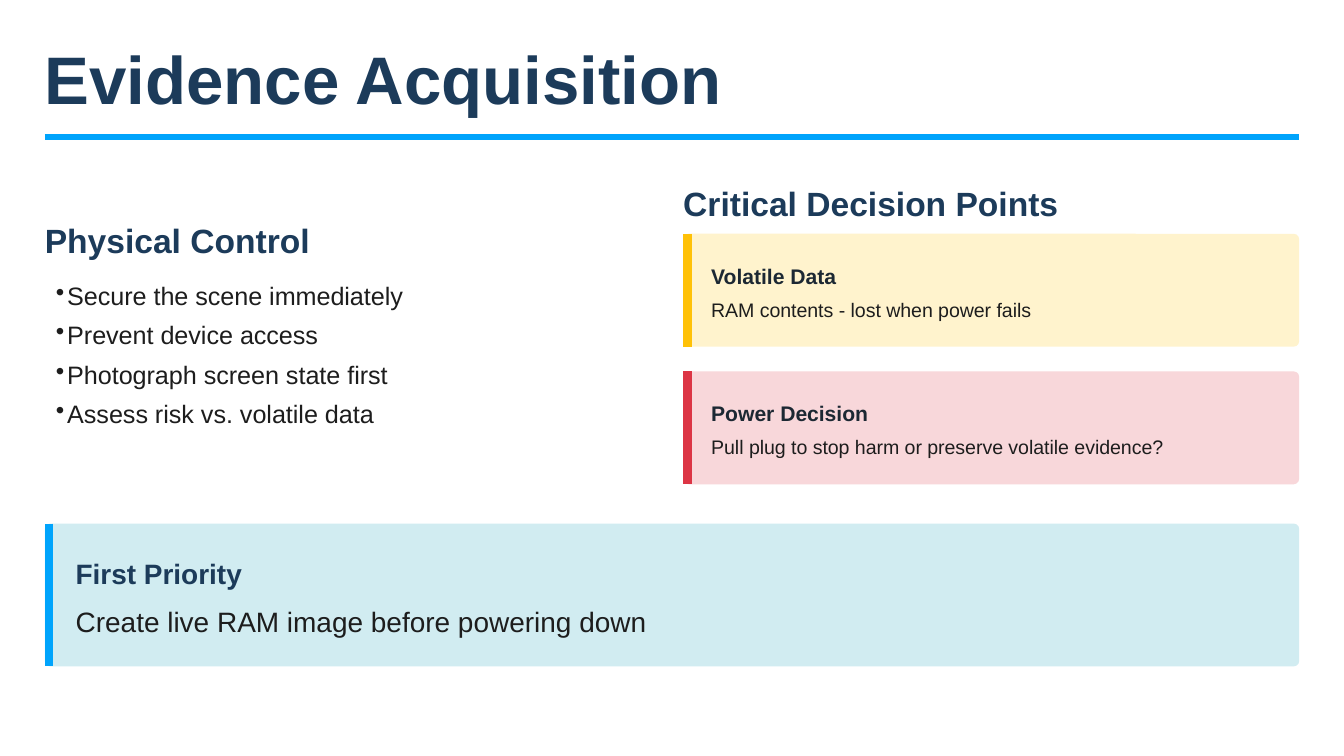
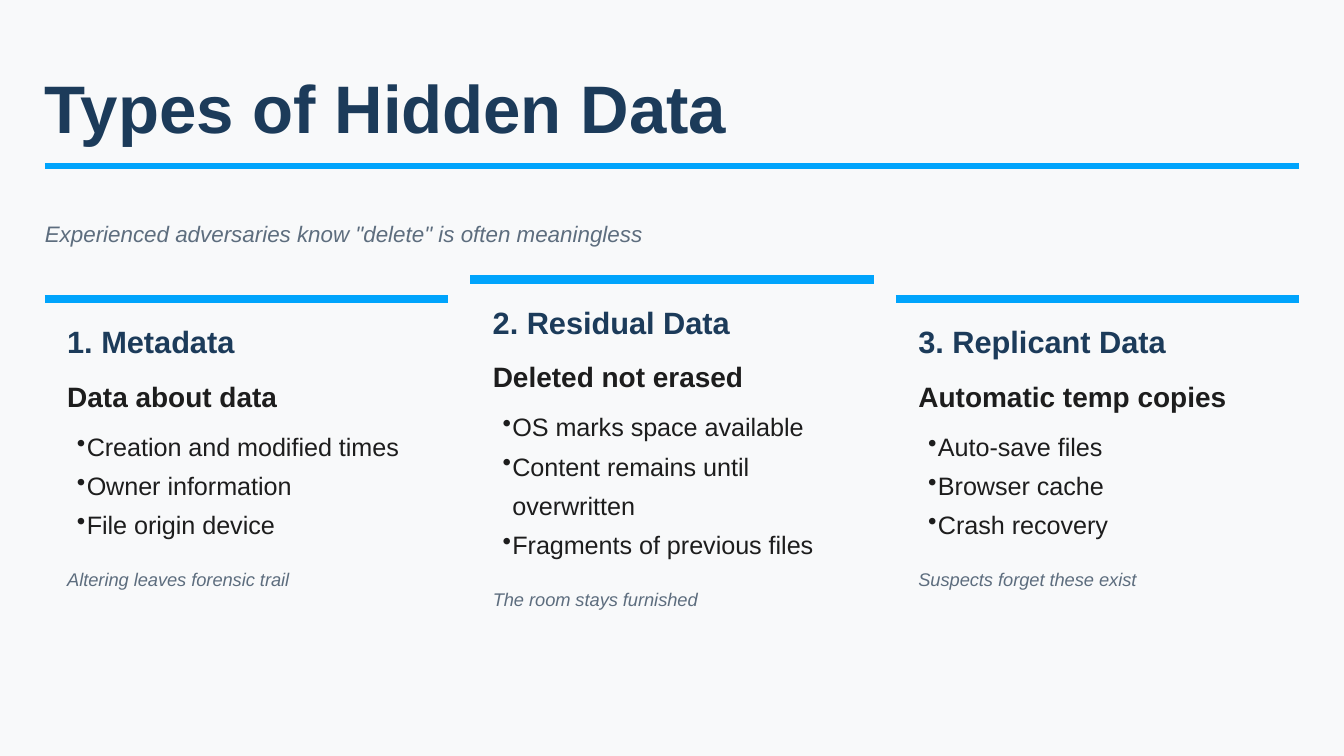
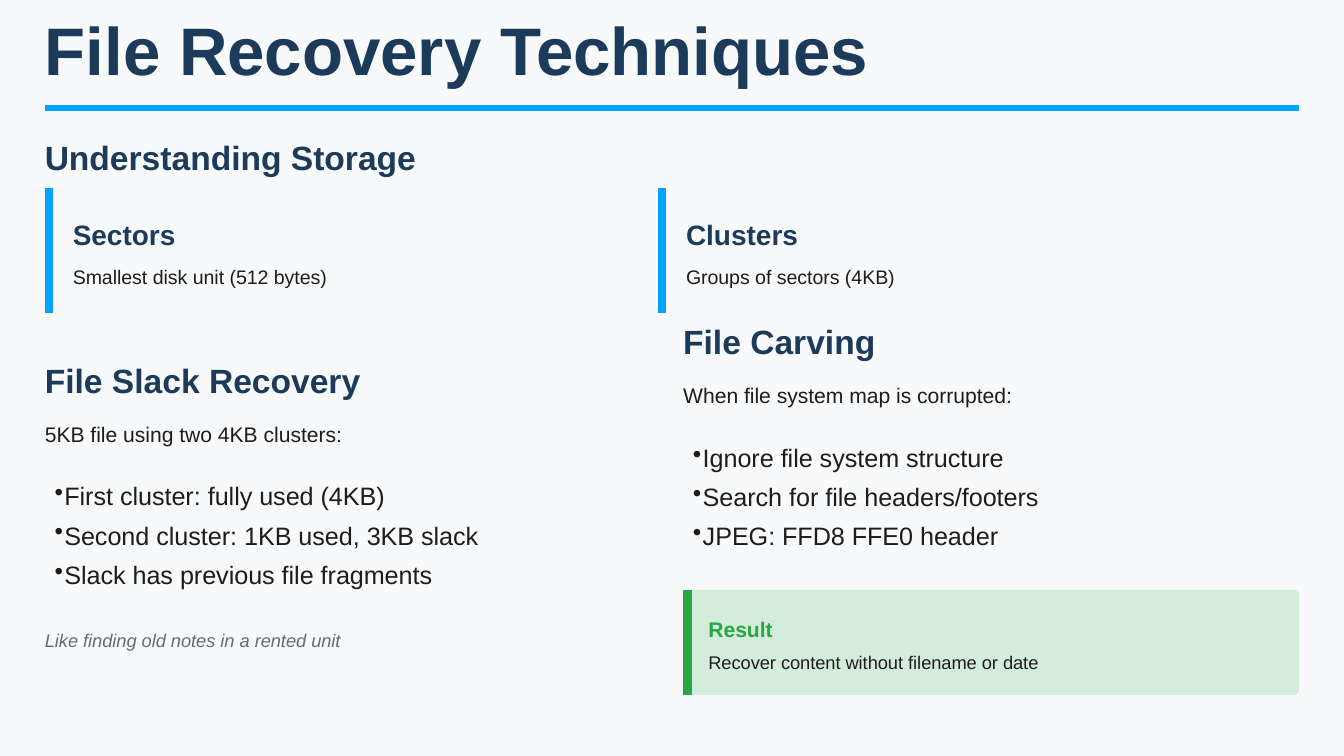
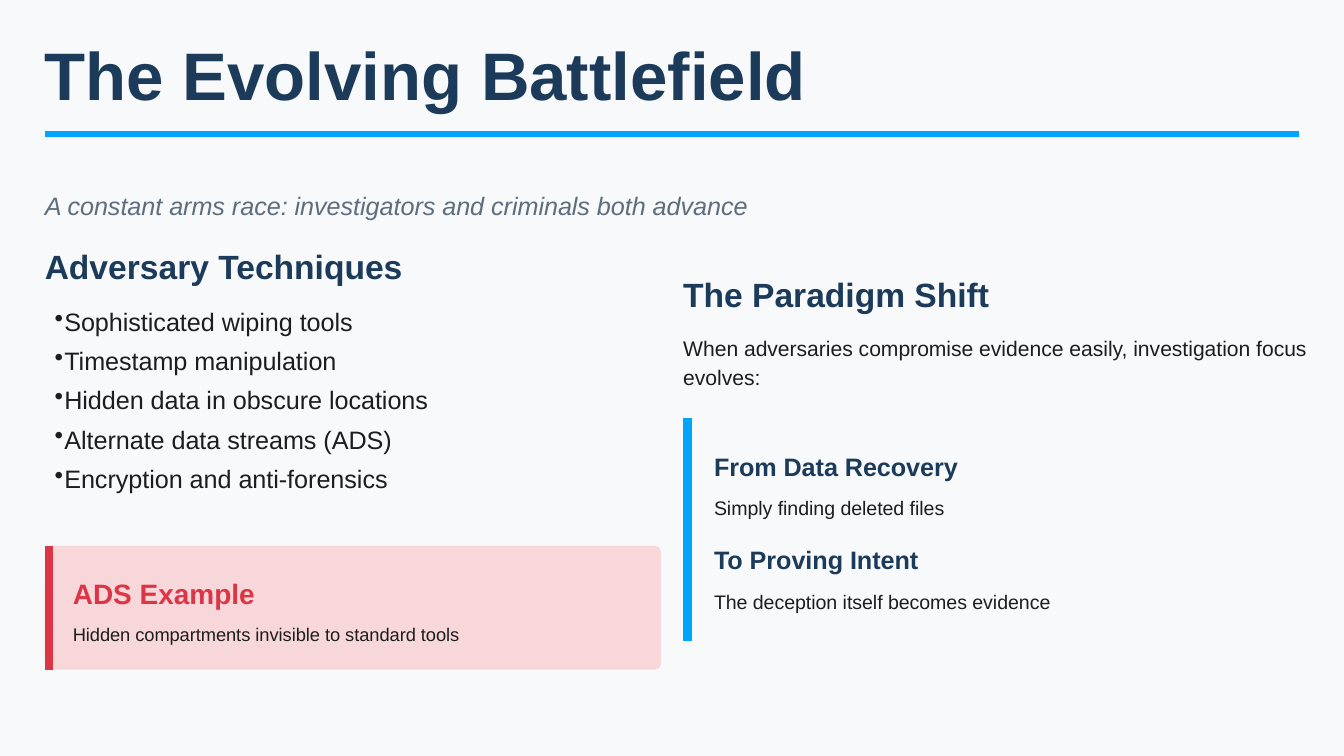
import pptx
import pptx.dml.color
import pptx.enum.shapes
import pptx.enum.text
import pptx.oxml
import pptx.oxml.ns
import pptx.util

Pt = pptx.util.Pt

NAVY, BLUE, INK, SLATE, MUTED = "1C3B5A", "00A4FC", "1D1D1D", "1C2833", "5D6D7E"
WHITE, PALE = "FFFFFF", "F8F9FA"
YELLOW, PALE_YELLOW = "FFC107", "FFF3CD"
RED, PALE_RED = "DC3545", "F8D7DA"
GREEN, PALE_GREEN = "28A745", "D4EDDA"
PALE_BLUE = "D1ECF1"

MARGIN, CONTENT_WIDTH = 24, 672
RIGHT, HALF_WIDTH = 366, 330
COLUMN_WIDTH, COLUMN_PITCH = 216, 228
ACCENT = 4.5
CORNER = 3
PARAGRAPH_SLACK = 1.02  # paragraphs get slightly more width than their column


def style(size, line, color, before=0, after=0, bold=False, italic=False):
    return {
        "font": {"name": "Arial", "size": Pt(size), "bold": bold, "italic": italic},
        "spacing": {"line_spacing": Pt(line), "space_before": Pt(before),
                    "space_after": Pt(after)},
        "color": color,
        "line": line,
    }


STYLES = {
    "title": style(36, 36, NAVY, bold=True),
    "heading": style(18, 20, NAVY, bold=True),
    "column": style(16.5, 18.3, NAVY, 0, 7.5, bold=True),
    "subhead": style(15, 21, NAVY, 3, 4.5, bold=True),
    "claim": style(15, 21, INK, 3, 4.5, bold=True),
    "alert": style(15, 21, RED, 3, 4.5, bold=True),
    "lead": style(15, 21, INK, 3, 3),
    "step": style(13.5, 18.9, NAVY, 3, 6, bold=True),
    "label": style(11.25, 15.75, SLATE, 3, 3, bold=True),
    "result": style(11.25, 15.75, GREEN, 3, 3, bold=True),
    "body": style(11.25, 15.75, INK, 3, 7.5),
    "detail": style(10.5, 14.7, INK, 3, 3),
    "small": style(9.75, 13.65, INK, 3, 3),
    "note": style(9.75, 13.65, MUTED, 7.5, 3, italic=True),
    "motto": style(12, 18, MUTED, 3, 3, italic=True),
    "tagline": style(13.5, 21, MUTED, 3, 3, italic=True),
    "bullet": style(13.5, 21, INK),
}


def rgb(color):
    return pptx.dml.color.RGBColor.from_string(color)


def apply(target, values):
    for name, value in values.items():
        setattr(target, name, value)


def write(frame, lines, style_name, indent=0):
    """Fill a text frame with one paragraph per line, bulleted if indented."""
    look = STYLES[style_name]
    apply(frame, {
        "margin_left": Pt(indent), "margin_top": 0, "margin_right": 0,
        "margin_bottom": 0, "word_wrap": True,
        "auto_size": pptx.enum.text.MSO_AUTO_SIZE.NONE,
        "vertical_anchor": pptx.enum.text.MSO_ANCHOR.TOP,
    })
    for index, line in enumerate(lines):
        paragraph = frame.add_paragraph() if index else frame.paragraphs[0]
        apply(paragraph, look["spacing"])
        paragraph.alignment = pptx.enum.text.PP_ALIGN.LEFT
        run = paragraph.add_run()
        run.text = line
        apply(run.font, look["font"])
        run.font.color.rgb = rgb(look["color"])
        if indent:
            properties = paragraph._p.get_or_add_pPr()
            properties.set("marL", str(Pt(indent)))
            properties.set("indent", str(-Pt(indent)))
            bullet = pptx.oxml.parse_xml(
                f'<a:buChar {pptx.oxml.ns.nsdecls("a")} char="•"/>')
            properties.append(bullet)


def add_text(slide, left, top, width, height, lines, style_name, indent=0):
    box = slide.shapes.add_textbox(Pt(left), Pt(top), Pt(width), Pt(height))
    write(box.text_frame, lines, style_name, indent)


def add_stack(slide, left, top, width, items):
    """Place (offset, style, text, [own width], [line count]) below top."""
    for offset, style_name, text, *fit in items:
        own_width = fit[0] if fit and fit[0] else width * PARAGRAPH_SLACK
        line_count = fit[1] if len(fit) > 1 else 1
        add_text(slide, left, top + offset, own_width,
                 STYLES[style_name]["line"] * line_count, [text], style_name)


def add_bullets(slide, left, top, width, lines, indent=5.25):
    add_text(slide, left, top, width, 23.75 * len(lines) - 2, lines, "bullet", indent)


def add_rule(slide, start, end, color, weight):
    rule = slide.shapes.add_connector(
        pptx.enum.shapes.MSO_CONNECTOR.STRAIGHT, *map(Pt, start + end))
    rule.line.color.rgb = rgb(color)
    rule.line.width = Pt(weight)
    rule._element.spPr.append(
        pptx.oxml.parse_xml(f'<a:effectLst {pptx.oxml.ns.nsdecls("a")}/>'))


def add_panel(slide, left, top, width, height, fill):
    panel = slide.shapes.add_shape(
        pptx.enum.shapes.MSO_SHAPE.ROUNDED_RECTANGLE,
        Pt(left), Pt(top), Pt(width), Pt(height))
    panel.adjustments[0] = CORNER / min(width, height)
    panel.shadow.inherit = False
    panel.fill.solid()
    panel.fill.fore_color.rgb = rgb(fill)
    panel.line.fill.background()


def add_card(slide, box, items, accent=BLUE, fill=PALE, inset=15):
    """Panel with an accent bar on its left edge and stacked text; fill may be None."""
    left, top, width, height = box
    if fill:
        add_panel(slide, *box, fill)
    bar = left + ACCENT / 2
    add_rule(slide, (bar, top), (bar, top + height), accent, ACCENT)
    add_stack(slide, left + inset, top, width - 2 * inset + ACCENT, items)


def add_column(slide, left, top, height, fill, heading, heading_width, claim,
               bullets, note, wrapped=0):
    """Panel with an accent bar on top; wrapped counts extra bullet lines."""
    if fill:
        add_panel(slide, left, top, COLUMN_WIDTH, height, fill)
    bar = top + ACCENT / 2
    add_rule(slide, (left, bar), (left + COLUMN_WIDTH, bar), BLUE, ACCENT)
    text_left, text_width = left + 12, COLUMN_WIDTH - 24
    add_stack(slide, text_left, top, text_width, [
        (16.5, "column", heading, heading_width),
        (42.25, "claim", claim),
        (144.5 + wrapped * STYLES["bullet"]["line"], "note", note),
    ])
    add_bullets(slide, text_left, top + 68.25, text_width, bullets)


def add_titled_slide(deck, title, top, width, background=PALE):
    slide = deck.slides.add_slide(deck.slide_layouts[5])
    slide.background.fill.solid()
    slide.background.fill.fore_color.rgb = rgb(background)
    line = STYLES["title"]["line"]
    apply(slide.shapes.title, {"left": Pt(MARGIN), "top": Pt(top),
                               "width": Pt(width), "height": Pt(line)})
    write(slide.shapes.title.text_frame, [title], "title")
    rule = top + 46.5
    add_rule(slide, (MARGIN, rule), (MARGIN + CONTENT_WIDTH, rule), BLUE, 3)
    return slide


def build_acquisition(deck):
    slide = add_titled_slide(deck, "Evidence Acquisition", 27, 370, WHITE)
    add_stack(slide, MARGIN, 119.5, HALF_WIDTH, [(0, "heading", "Physical Control", 169)])
    add_bullets(slide, MARGIN, 145.5, HALF_WIDTH, [
        "Secure the scene immediately",
        "Prevent device access",
        "Photograph screen state first",
        "Assess risk vs. volatile data",
    ], indent=6)

    add_stack(slide, RIGHT, 99.5, HALF_WIDTH,
              [(0, "heading", "Critical Decision Points", 206)])
    decisions = [
        ("Volatile Data", "RAM contents - lost when power fails", YELLOW, PALE_YELLOW),
        ("Power Decision", "Pull plug to stop harm or preserve volatile evidence?",
         RED, PALE_RED),
    ]
    for index, (label, detail, accent, fill) in enumerate(decisions):
        add_card(slide, (RIGHT, 125.25 + 73.75 * index, HALF_WIDTH, 60.5),
                 [(13.5, "label", label), (32, "detail", detail)], accent, fill)

    add_card(slide, (MARGIN, 280.5, CONTENT_WIDTH, 76.5), [
        (14.5, "subhead", "First Priority"),
        (40.5, "lead", "Create live RAM image before powering down"),
    ], fill=PALE_BLUE, inset=16.5)


def build_hidden_data(deck):
    slide = add_titled_slide(deck, "Types of Hidden Data", 42.5, 373)
    add_stack(slide, MARGIN, 114.5, CONTENT_WIDTH, [
        (0, "motto", 'Experienced adversaries know "delete" is often meaningless')])
    columns = [
        (158, 172.5, None, "1. Metadata", 98.5, "Data about data",
         ["Creation and modified times", "Owner information", "File origin device"],
         "Altering leaves forensic trail"),
        (147.5, 193.5, PALE, "2. Residual Data", 130.5, "Deleted not erased",
         ["OS marks space available", "Content remains until overwritten",
          "Fragments of previous files"],
         "The room stays furnished", 1),
        (158, 172.5, PALE, "3. Replicant Data", 136, "Automatic temp copies",
         ["Auto-save files", "Browser cache", "Crash recovery"],
         "Suspects forget these exist"),
    ]
    for index, column in enumerate(columns):
        add_column(slide, MARGIN + COLUMN_PITCH * index, *column)


def build_recovery(deck):
    slide = add_titled_slide(deck, "File Recovery Techniques", 11.5, 451)
    add_stack(slide, MARGIN, 75, HALF_WIDTH,
              [(0, "heading", "Understanding Storage", 343.5)])
    units = [
        ("Sectors", "Smallest disk unit (512 bytes)", None),
        ("Clusters", "Groups of sectors (4KB)", PALE),
    ]
    for index, (unit, meaning, fill) in enumerate(units):
        add_card(slide, (MARGIN + 328.5 * index, 100.75, 322.5, 67),
                 [(13, "subhead", unit), (39, "detail", meaning)], fill=fill)

    add_stack(slide, MARGIN, 194.5, HALF_WIDTH, [
        (0, "heading", "File Slack Recovery", 173),
        (29, "body", "5KB file using two 4KB clusters:"),
        (140.5, "note", "Like finding old notes in a rented unit"),
    ])
    add_bullets(slide, MARGIN, 252.75, HALF_WIDTH, [
        "First cluster: fully used (4KB)",
        "Second cluster: 1KB used, 3KB slack",
        "Slack has previous file fragments",
    ])

    add_stack(slide, RIGHT, 173.75, HALF_WIDTH, [
        (0, "heading", "File Carving", 169),
        (29, "body", "When file system map is corrupted:"),
    ])
    add_bullets(slide, RIGHT, 232, HALF_WIDTH, [
        "Ignore file system structure",
        "Search for file headers/footers",
        "JPEG: FFD8 FFE0 header",
    ])
    add_card(slide, (RIGHT, 316, HALF_WIDTH, 56.25), [
        (12.25, "result", "Result"),
        (31, "small", "Recover content without filename or date"),
    ], GREEN, PALE_GREEN, inset=13.5)


def build_battlefield(deck):
    slide = add_titled_slide(deck, "The Evolving Battlefield", 25.25, 417)
    add_stack(slide, MARGIN, 97.25, CONTENT_WIDTH, [
        (0, "tagline", "A constant arms race: investigators and criminals both advance")])

    add_stack(slide, MARGIN, 133.25, HALF_WIDTH,
              [(0, "heading", "Adversary Techniques", 196)])
    add_bullets(slide, MARGIN, 159.25, HALF_WIDTH, [
        "Sophisticated wiping tools",
        "Timestamp manipulation",
        "Hidden data in obscure locations",
        "Alternate data streams (ADS)",
        "Encryption and anti-forensics",
    ])
    add_card(slide, (MARGIN, 292.5, HALF_WIDTH, 66.25), [
        (13.5, "alert", "ADS Example"),
        (39.5, "small", "Hidden compartments invisible to standard tools"),
    ], RED, PALE_RED)

    add_stack(slide, RIGHT, 148.25, HALF_WIDTH, [
        (0, "heading", "The Paradigm Shift", 169),
        (29, "body", "When adversaries compromise evidence easily, "
                     "investigation focus evolves:", None, 2),
    ])
    add_card(slide, (RIGHT, 224, HALF_WIDTH, 119.5), [
        (15, "step", "From Data Recovery"),
        (39.5, "detail", "Simply finding deleted files"),
        (65, "step", "To Proving Intent"),
        (90, "detail", "The deception itself becomes evidence"),
    ], inset=16.5)


def main():
    deck = pptx.Presentation()
    deck.slide_width, deck.slide_height = Pt(720), Pt(405)
    for build in (build_acquisition, build_hidden_data, build_recovery, build_battlefield):
        build(deck)
    deck.save("out.pptx")


if __name__ == "__main__":
    main()
